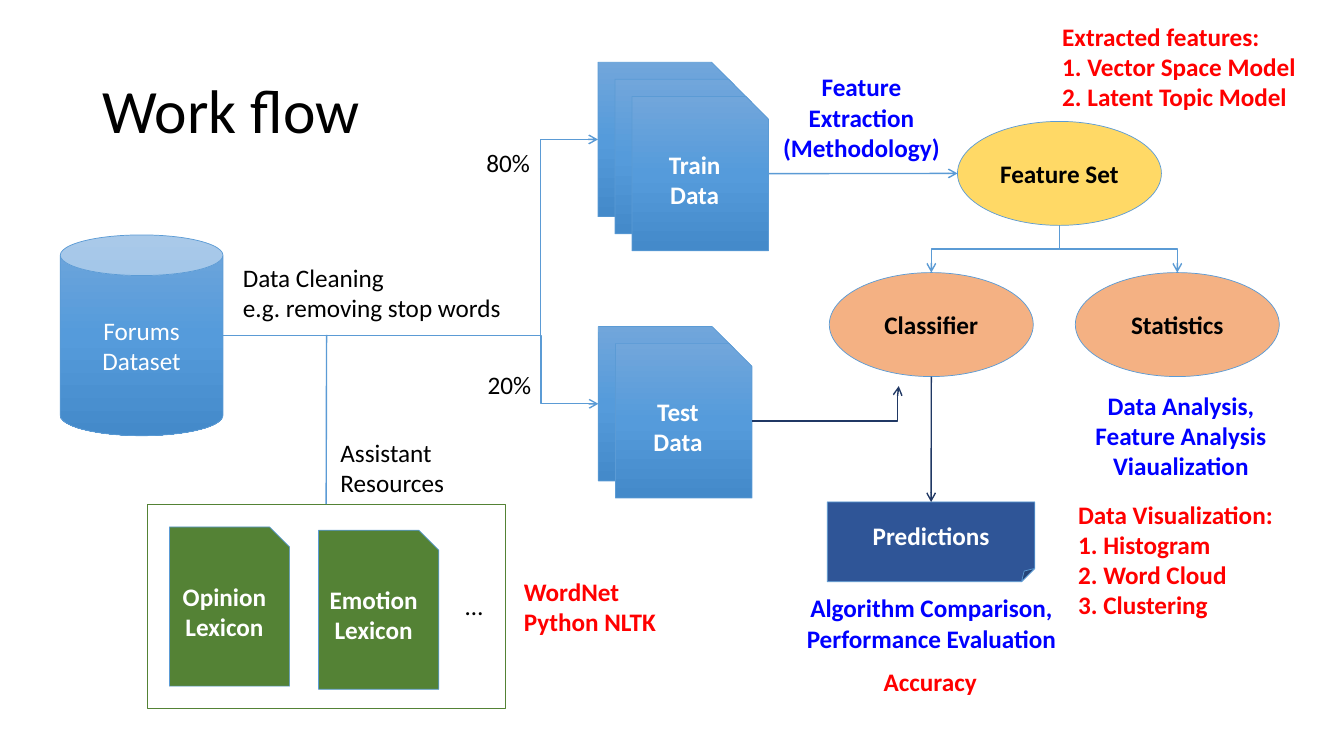
"""Build the work flow slide."""
from copy import deepcopy
from dataclasses import dataclass
from lxml.etree import SubElement
from pptx import Presentation
from pptx.dml.color import RGBColor as RGB
from pptx.enum.shapes import MSO_CONNECTOR as CON, MSO_SHAPE as GEO
from pptx.enum.text import MSO_ANCHOR as ANC, MSO_AUTO_SIZE as AUTO, PP_ALIGN as AL
from pptx.oxml.ns import qn
from pptx.util import Cm, Pt


@dataclass(frozen=True)
class Theme:
    font: str = "Calibri"
    head: int = 44
    body: int = 18
    thin: float = 0.5
    line: float = 1
    black: str = "000000"
    white: str = "FFFFFF"
    blue: str = "0000FF"
    red: str = "FF0000"
    edge: str = "5B9BD5"
    navy: str = "203864"
    green: str = "548235"
    gold: str = "FFD966"
    peach: str = "F4B183"
    deep: str = "2F5597"
    fade: tuple = ("71A6DB", "559BDB", "448ACA")


T = Theme()
TITLE = ("Work flow", (2.33, 1.01, 29.21, 3.68))
OVAL, PAGE, SHEET = (5.14, 2.62), (3.03, 4.01), (3.44, 3.89)
STEP = 0.43

STACKS = [
    ("train", "Train\nData", 15.07, 1.57, 3),
    ("test", "Test\nData", 15.08, 8.23, 2),
]
NODES = [
    ("tools", "", GEO.RECTANGLE, (3.71, 12.7, 9.02, 5.16), None, T.black, False),
    ("opinion", "Opinion\nLexicon", GEO.SNIP_1_RECTANGLE, (4.27, 13.28, *PAGE), T.green, T.white, True),
    ("emotion", "Emotion\nLexicon", GEO.SNIP_1_RECTANGLE, (8.03, 13.36, *PAGE), T.green, T.white, True),
    ("source", "Forums\nDataset", GEO.CAN, (1.52, 5.92, 4.1, 5.06), T.fade, T.white, False),
    ("feature", "Feature Set", GEO.OVAL, (24.13, 3.06, *OVAL), T.gold, T.black, True),
    ("classes", "Classifier", GEO.OVAL, (20.9, 6.87, *OVAL), T.peach, T.black, True),
    ("stats", "Statistics", GEO.OVAL, (27.1, 6.87, *OVAL), T.peach, T.black, True),
    ("result", "Predictions", GEO.FOLDED_CORNER, (20.85, 12.65, 5.23, 2.01), T.deep, T.white, True),
]
PLAIN = dict(color=T.black)
NOTE = dict(color=T.red, bold=True)
TASK = dict(color=T.blue, bold=True, align=AL.CENTER)
LABELS = [
    ("Data Cleaning\ve.g. removing stop words", 5.87, 6.48, 7.11, PLAIN),
    ("…", 11.48, 14.76, 0.97, PLAIN),
    ("Assistant\nResources", 8.33, 10.9, 3.18, PLAIN),
    ("80%", 12.01, 3.58, 1.63, PLAIN),
    ("20%", 12.04, 9.19, 1.63, PLAIN),
    ("Feature\nExtraction\v(Methodology)", 19.46, 1.68, 4.5, TASK),
    ("Algorithm Comparison,\nPerformance Evaluation", 20.02, 14.81, 6.91, TASK),
    ("Data Analysis,\nFeature Analysis\nViaualization", 27.31, 9.7, 4.9, TASK),
    ("Accuracy", 22.02, 16.66, 2.9, NOTE),
    ("Extracted features:\n1. Vector Space Model\n2. Latent Topic Model", 26.52, 0.41, 6.5, NOTE),
    ("WordNet\nPython NLTK", 12.95, 14.4, 3.91, NOTE),
    ("Data Visualization:\n1. Histogram\n2. Word Cloud\n3. Clustering", 26.92, 12.45, 5.49, NOTE),
]
LINKS = [
    (("tools", "top"), (8.23, 8.44), dict(head=False)),
    (("source", "right"), ("train", "left"), dict(bend=0.847)),
    (("source", "right"), ("test", "left"), dict(bend=0.847)),
    (("train", "right"), ("feature", "left"), {}),
    (("feature", "base"), ("stats", "top"), dict(bend=0.5, down=True)),
    (("feature", "base"), ("classes", "top"), dict(bend=0.5, down=True)),
    (("test", "right"), (22.65, 9.73), dict(bend=0.993, color=T.navy)),
    (("classes", "base"), ("result", "top"), dict(color=T.navy)),
]


def write(frame, text, color=T.black, size=T.body, bold=False, align=AL.LEFT):
    frame.text = text
    for para in frame.paragraphs:
        para.alignment = align
        for run in para.runs:
            font = run.font
            font.name, font.size, font.bold = T.font, Pt(size), bold
            font.color.rgb = RGB.from_string(color)


def paint(shape, fill):
    if fill is None:
        shape.fill.background()
    elif isinstance(fill, str):
        shape.fill.solid()
        shape.fill.fore_color.rgb = RGB.from_string(fill)
    else:
        shape.fill.gradient()
        shape.fill.gradient_angle = 270
        first = next(shape._element.spPr.iter(qn("a:gs")))
        first.addnext(deepcopy(first))
        for i, (stop, tone) in enumerate(zip(shape.fill.gradient_stops, fill)):
            stop.position = i / 2
            stop.color.rgb = RGB.from_string(tone)


def node(text, geo, box, fill, color, bold):
    shape = slide.shapes.add_shape(geo, *map(Cm, box))
    shape.shadow.inherit = False
    paint(shape, fill)
    shape.line.color.rgb = RGB.from_string(T.edge if fill else T.green)
    shape.line.width = Pt(T.thin)
    shape.text_frame.vertical_anchor = ANC.MIDDLE
    write(shape.text_frame, text, color=color, bold=bold, align=AL.CENTER)


def label(text, x, y, wide, style):
    rows = len(text.splitlines())
    frame = slide.shapes.add_textbox(Cm(x), Cm(y), Cm(wide), Cm(0.25 + 0.77 * rows)).text_frame
    frame.word_wrap = False
    frame.auto_size = AUTO.SHAPE_TO_FIT_TEXT
    write(frame, text, **style)


def point(end):
    if end[0] not in spots:
        return end
    key, side = end
    x, y, w, h = spots[key][side == "right"]
    return {"left": (x, y + h / 2), "right": (x + w, y + h / 2),
            "top": (x + w / 2, y), "base": (x + w / 2, y + h)}[side]


def link(start, stop, color=T.edge, bend=None, down=False, head=True):
    (x1, y1), (x2, y2) = point(start), point(stop)
    turn = 0
    if down:
        turn = 90 if x2 < x1 else 270
        sign = 1 if x2 < x1 else -1
        cx, cy = (x1 + x2) / 2, (y1 + y2) / 2
        dx, dy = sign * (y2 - y1) / 2, abs(x2 - x1) / 2
        x1, y1, x2, y2 = cx - dx, cy - dy, cx + dx, cy + dy
    kind = CON.ELBOW if bend else CON.STRAIGHT
    wire = slide.shapes.add_connector(kind, *map(Cm, (x1, y1, x2, y2)))
    wire.line.color.rgb = RGB.from_string(color)
    wire.line.width = Pt(T.line)
    props = wire._element.spPr
    if turn:
        props.find(qn("a:xfrm")).set("rot", str(turn * 60000))
    if bend:
        guides = props.find(qn("a:prstGeom")).find(qn("a:avLst"))
        SubElement(guides, qn("a:gd"), name="adj1", fmla=f"val {round(bend * 100000)}")
    if head:
        SubElement(props.find(qn("a:ln")), qn("a:tailEnd"), type="arrow")
    SubElement(props, qn("a:effectLst"))


deck = Presentation()
deck.slide_width, deck.slide_height = Cm(33.87), Cm(19.05)
slide = deck.slides.add_slide(deck.slide_layouts[5])
title = slide.shapes.title
title.left, title.top, title.width, title.height = map(Cm, TITLE[1])
title.text_frame.vertical_anchor = ANC.MIDDLE
write(title.text_frame, TITLE[0], size=T.head)
title.text_frame.paragraphs[0].line_spacing = 0.9

spots = {}
for key, text, geo, box, *style in NODES:
    node(text, geo, box, *style)
    spots[key] = (box, box)
for key, text, x, y, count in STACKS:
    boxes = [(x + i * STEP, y + i * STEP, *SHEET) for i in range(count)]
    for box in boxes:
        node(text if box == boxes[-1] else "", GEO.SNIP_1_RECTANGLE, box, T.fade, T.white, True)
    spots[key] = (boxes[0], boxes[-1])
for start, stop, style in LINKS:
    link(start, stop, **style)
for item in LABELS:
    label(*item)
deck.save("out.pptx")
